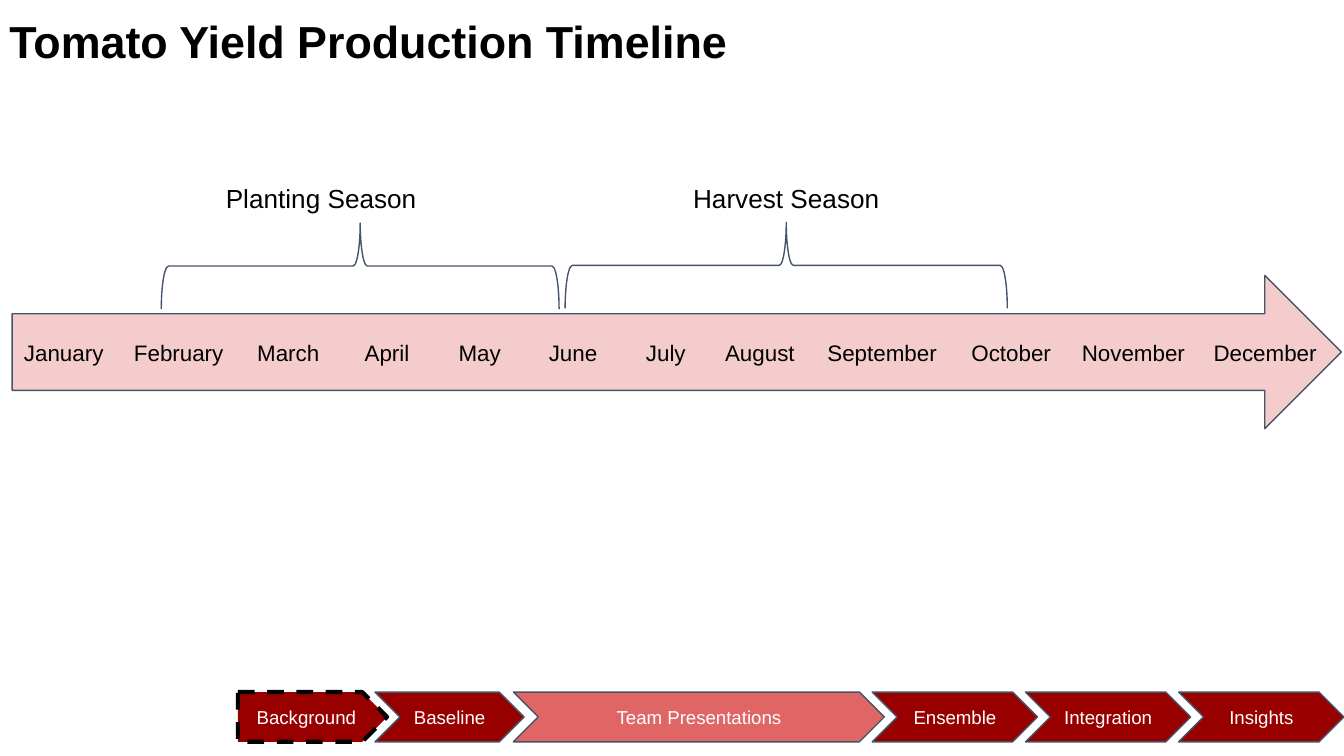
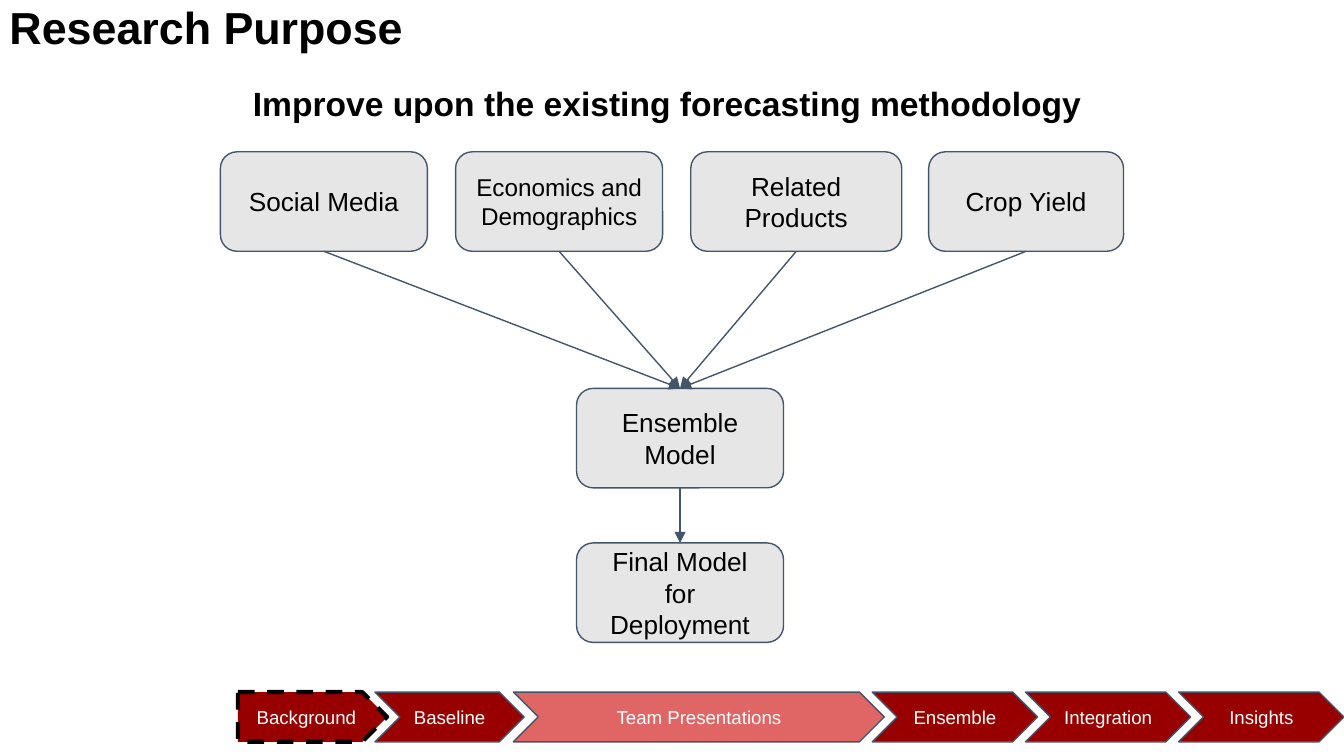
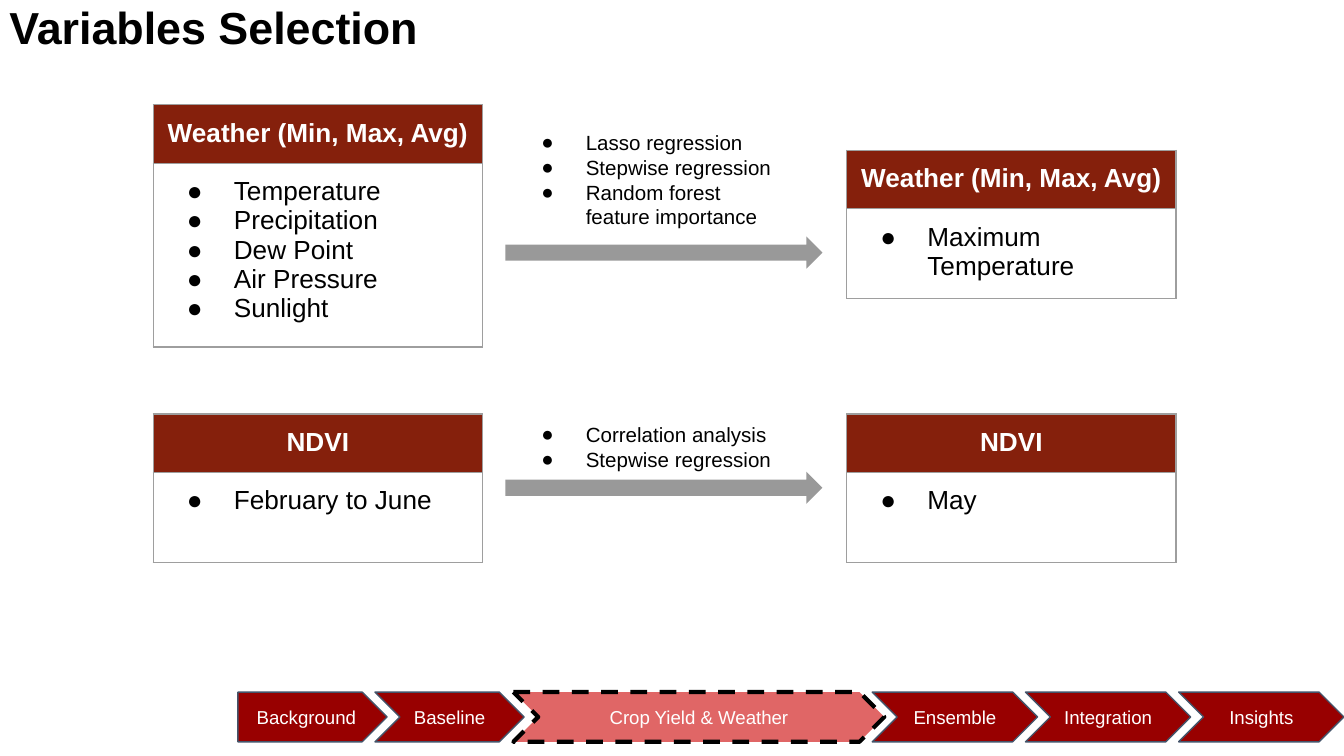
"""Build three slides on tomato yield forecasting with a shared title and progress band."""
import lxml.etree
import pptx
import pptx.dml.color
import pptx.enum.dml
import pptx.enum.shapes
import pptx.enum.text
import pptx.oxml.ns
import pptx.util

Inches = pptx.util.Inches
Pt = pptx.util.Pt
qn = pptx.oxml.ns.qn
SubElement = lxml.etree.SubElement
SHAPE = pptx.enum.shapes.MSO_SHAPE
ALIGN = pptx.enum.text.PP_ALIGN
ANCHOR = pptx.enum.text.MSO_ANCHOR
BLACK, WHITE, SLATE = "000000", "FFFFFF", "44546A"
PINK, CRIMSON, ROSE = "F4CCCC", "980000", "E06666"
PALE_GRAY, ARROW_GRAY, BORDER_GRAY, BRICK = "E7E6E6", "999999", "9E9E9E", "85200C"
PLAIN_TABLE = "{2D5ABB26-0587-4C30-8999-92F81FD0307C}"


def paint(fill, color):
    """Give a fill a solid colour, or none."""
    if color is None:
        fill.background()
    else:
        fill.solid()
        fill.fore_color.rgb = pptx.dml.color.RGBColor.from_string(color)


def write(holder, lines, size, color=BLACK, bold=False, align=ALIGN.CENTER, spacing=None,
          anchor=ANCHOR.TOP, sides=0.1, top=0.1, bottom=0.1, hanging=None):
    """Write paragraphs into a shape or a table cell."""
    frame = holder.text_frame
    frame.word_wrap = True
    target = holder if hasattr(holder, "margin_left") else frame
    layout = {"margin_left": Inches(sides), "margin_right": Inches(sides),
              "margin_top": Inches(top), "margin_bottom": Inches(bottom), "vertical_anchor": anchor}
    for name, value in layout.items():
        setattr(target, name, value)
    for index, line in enumerate(lines):
        para = frame.add_paragraph() if index else frame.paragraphs[0]
        para.alignment = align
        if spacing:
            para.line_spacing = spacing
        if hanging:
            properties = para._p.get_or_add_pPr()
            properties.set("marL", str(Inches(0.5)))
            properties.set("indent", str(-Inches(hanging)))
            bullet_color = SubElement(properties, qn("a:buClr"))
            SubElement(bullet_color, qn("a:srgbClr"), val=BLACK)
            SubElement(properties, qn("a:buSzPts"), val=str(size * 100))
            SubElement(properties, qn("a:buFont"), typeface="Arial")
            SubElement(properties, qn("a:buChar"), char="●")
        span = para.add_run()
        span.text = line
        for name, value in {"name": "Arial", "size": Pt(size), "bold": bold}.items():
            setattr(span.font, name, value)
        paint(span.font.fill, color)


deck = pptx.Presentation()
deck.slide_width = Inches(10)
deck.slide_height = deck.slide_width * 9 // 16

titles = [("Tomato Yield Production Timeline", 0.63, 1.15),
          ("Research Purpose", 1.09, 0.9),
          ("Variables Selection", 1.09, 0.9)]
for title, height, spacing in titles:
    page = deck.slides.add_slide(deck.slide_layouts[6])
    box = page.shapes.add_textbox(0, 0, Inches(8.75), Inches(height))
    write(box, [title], 24, bold=True, align=ALIGN.LEFT, spacing=spacing,
          sides=0.07, top=0.04, bottom=0.04)
timeline, purpose, variables = deck.slides

year_arrow = timeline.shapes.add_shape(
    SHAPE.RIGHT_ARROW, Inches(0.09), Inches(2.05), Inches(9.89), Inches(1.14))
paint(year_arrow.fill, PINK)
paint(year_arrow.line.fill, SLATE)
year_arrow.line.width = Pt(0.75)

months = {"January": 0.83, "February": 0.88, "March": 0.75, "April": 0.72, "May": 0.66,
          "June": 0.73, "July": 0.65, "August": 0.75, "September": 1.07, "October": 0.85,
          "November": 0.97, "December": 0.99}
month_frame = timeline.shapes.add_table(
    1, len(months), Inches(0.06), Inches(2.44), Inches(9.84), Inches(0.42))
for index, (month, width) in enumerate(months.items()):
    month_frame.table.columns[index].width = Inches(width)
    cell = month_frame.table.cell(0, index)
    paint(cell.fill, None)
    write(cell, [month], 12, sides=0.05)

seasons = [("Planting Season", 1.23, 2.36, 0.5, 2.96), ("Harvest Season", 4.69, 5.53, 0.33, 3.29)]
for season, label_left, left, top, length in seasons:
    brace = timeline.shapes.add_shape(
        SHAPE.LEFT_BRACE, Inches(left), Inches(top), Inches(0.64), Inches(length))
    brace.rotation = 90
    paint(brace.fill, None)
    paint(brace.line.fill, SLATE)
    brace.line.width = Pt(0.75)
    label = timeline.shapes.add_textbox(
        Inches(label_left), Inches(1.26), Inches(2.32), Inches(0.42))
    write(label, [season], 14)

models = [("Economics and Demographics", 3.39, 1.13, 1.54, 13),
          ("Related Products", 5.14, 1.13, 1.57, 14),
          ("Crop Yield", 6.91, 1.13, 1.45, 14),
          ("Social Media", 1.64, 1.13, 1.54, 14),
          ("Ensemble Model", 4.29, 2.89, 1.54, 14),
          ("Final Model for Deployment", 4.29, 4.04, 1.54, 14)]
model_boxes = []
for name, left, top, width, size in models:
    box = purpose.shapes.add_shape(
        SHAPE.ROUNDED_RECTANGLE, Inches(left), Inches(top), Inches(width), Inches(0.74))
    paint(box.fill, PALE_GRAY)
    paint(box.line.fill, SLATE)
    box.line.width = Pt(0.75)
    write(box, [name], size, anchor=ANCHOR.MIDDLE)
    model_boxes.append(box)
*inputs, ensemble, final = model_boxes
for start, end in [(box, ensemble) for box in inputs] + [(ensemble, final)]:
    link = purpose.shapes.add_connector(pptx.enum.shapes.MSO_CONNECTOR.STRAIGHT, 0, 0, 0, 0)
    link.begin_connect(start, 2)
    link.end_connect(end, 0)
    paint(link.line.fill, SLATE)
    link.line.width = Pt(0.75)
    SubElement(link.line._get_or_add_ln(), qn("a:tailEnd"), type="triangle")
    SubElement(link.element.spPr, qn("a:effectLst"))
goal = purpose.shapes.add_textbox(Inches(0.41), Inches(0.52), Inches(9.18), Inches(0.56))
write(goal, ["Improve upon the existing forecasting methodology "], 18, bold=True)

weather = "Weather (Min, Max, Avg)"
cards = [(weather, 1.14, 0.78, 1.8,
          ["Temperature", "Precipitation", "Dew Point", "Air Pressure", "Sunlight"]),
         (weather, 6.3, 1.12, 1.1, ["Maximum Temperature"]),
         ("NDVI", 1.14, 3.08, 1.1, ["February to June"]),
         ("NDVI", 6.3, 3.08, 1.1, ["May"])]
for heading, left, top, height, items in cards:
    card_frame = variables.shapes.add_table(
        2, 1, Inches(left), Inches(top), Inches(2.45), Inches(height))
    card = card_frame.table
    card.rows[0].height, card.rows[1].height = Inches(0.41), Inches(0.67)
    card_frame.height = Inches(height)
    header, body = card.cell(0, 0), card.cell(1, 0)
    for cell, color in [(header, BRICK), (body, None)]:
        for side in ("lnL", "lnR", "lnT", "lnB"):
            border = SubElement(cell._tc.get_or_add_tcPr(), qn("a:" + side), w=str(Pt(0.75)))
            SubElement(SubElement(border, qn("a:solidFill")), qn("a:srgbClr"), val=BORDER_GRAY)
        paint(cell.fill, color)
    write(header, [heading], 14, WHITE, bold=True)
    write(body, items, 14, align=ALIGN.LEFT, hanging=0.35)

methods = [(1.76, 0.69, 1.31, 0.28,
            ["Lasso regression", "Stepwise regression", "Random forest feature importance"]),
           (3.51, 3.04, 0.61, 0.1, ["Correlation analysis", "Stepwise regression"])]
for arrow_top, top, height, inset, items in methods:
    arrow = variables.shapes.add_shape(
        SHAPE.RIGHT_ARROW, Inches(3.76), Inches(arrow_top), Inches(2.36), Inches(0.24))
    paint(arrow.fill, ARROW_GRAY)
    paint(arrow.line.fill, None)
    box = variables.shapes.add_textbox(Inches(3.76), Inches(top), Inches(2.22), Inches(height))
    write(box, items, 11, align=ALIGN.LEFT, top=inset, hanging=0.33)

bands = [(timeline, "Team Presentations", "Background"),
         (purpose, "Team Presentations", "Background"),
         (variables, "Crop Yield & Weather", "Crop Yield & Weather")]
for page, team_step, current in bands:
    steps = [("Ensemble", 6.49, 1.23), ("Integration", 7.63, 1.23), ("Baseline", 2.79, 1.11),
             (team_step, 3.82, 2.76), ("Background", 1.77, 1.11), ("Insights", 8.77, 1.23)]
    for step, left, width in steps:
        kind = SHAPE.PENTAGON if step == "Background" else SHAPE.CHEVRON
        marker = page.shapes.add_shape(
            kind, Inches(left), Inches(5.15), Inches(width), Inches(0.37))
        paint(marker.fill, ROSE if step == team_step else CRIMSON)
        paint(marker.line.fill, BLACK if step == current else SLATE)
        marker.line.width = Pt(2.25 if step == current else 0.75)
        if step == current:
            marker.line.dash_style = pptx.enum.dml.MSO_LINE.DASH
        write(marker, [step], 10, WHITE, anchor=ANCHOR.MIDDLE, sides=0.05)

for page in deck.slides:
    for shape in page.shapes:
        if shape.has_table:
            for style in shape.element.iter(qn("a:tableStyleId")):
                style.text = PLAIN_TABLE
            shape.table.first_row = shape.table.horz_banding = False
        elif shape.shape_type == pptx.enum.shapes.MSO_SHAPE_TYPE.AUTO_SHAPE:
            shape.shadow.inherit = False

deck.save("out.pptx")
